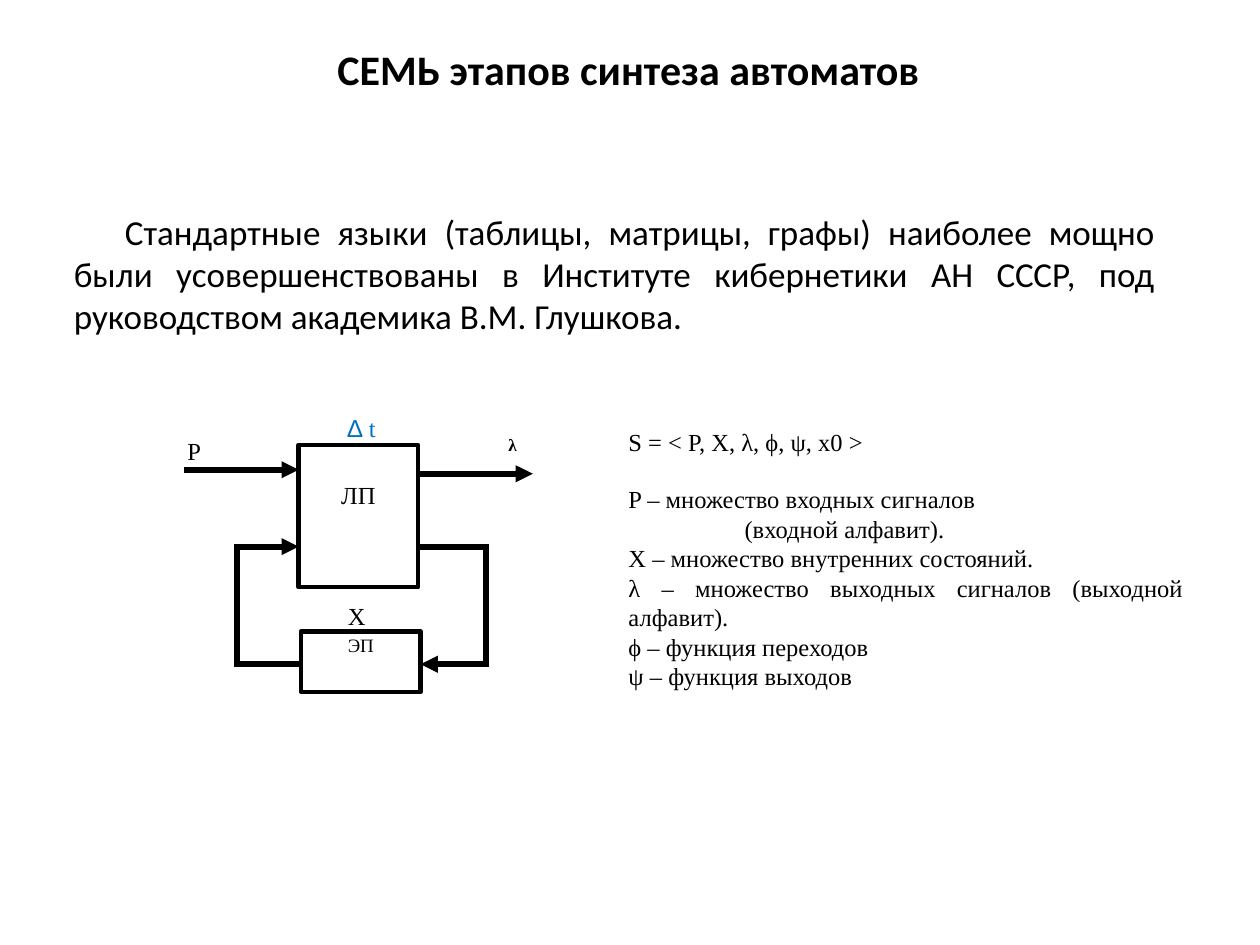
from lxml import etree
from pptx import Presentation
from pptx import util as u
from pptx.dml.color import RGBColor
from pptx.enum import shapes, text
from pptx.oxml.ns import qn

THEME = {
    "black": RGBColor(0, 0, 0),
    "white": RGBColor(255, 255, 255),
    "blue": RGBColor(0x00, 0x70, 0xC0),
    "heading_font": "Calibri",
    "diagram_font": "Times New Roman",
    "symbol_font": "Arial",
    "title": 24,
    "body": 20,
    "diagram": 14,
    "memory": 10.8,
    "output": 9.8,
    "box_line": 2.5,
    "wire": 3.25,
}

TITLE = "СЕМЬ этапов синтеза автоматов"
BODY = (
    "Стандартные языки (таблицы, матрицы, графы) наиболее мощно были "
    "усовершенствованы в Институте кибернетики АН СССР, под руководством "
    "академика В.М. Глушкова."
)
DEFINITIONS = [
    {"content": "S = < P, X, λ, ϕ, ψ, x0 >"},
    {"content": "P – множество входных сигналов", "before": 16},
    {"content": "(входной алфавит).", "indent": 2.34},
    {"content": "X – множество внутренних состояний."},
    {"content": "λ – множество выходных сигналов (выходной алфавит)."},
    {"content": "ϕ – функция переходов"},
    {"content": "ψ – функция выходов"},
]

LOGIC = (6.02, 8.97, 2.41, 2.87)
MEMORY = (6.07, 12.73, 2.41, 1.22)
BLOCKS = [
    ("ЛП", LOGIC, "diagram", 0.7, 1),
    ("ЭП", MEMORY, "memory", 0.13, 0.8),
]
LOGIC_RIGHT = LOGIC[0] + LOGIC[2]
MEMORY_RIGHT = MEMORY[0] + MEMORY[2]
INPUT_Y, OUTPUT_Y, LOOP_TOP, LOOP_BOTTOM = 9.47, 9.55, 11.02, 13.39
LOOP_LEFT, LOOP_RIGHT, CORNER = 4.78, 9.8, 0.06
WIRES = [
    ((3.71, INPUT_Y), (LOGIC[0], INPUT_Y), True),
    ((LOGIC_RIGHT, OUTPUT_Y), (10.74, OUTPUT_Y), True),
    ((LOGIC_RIGHT, LOOP_TOP), (LOOP_RIGHT + CORNER, LOOP_TOP), False),
    ((LOOP_RIGHT, LOOP_TOP), (LOOP_RIGHT, LOOP_BOTTOM + CORNER), False),
    ((LOOP_RIGHT, LOOP_BOTTOM), (MEMORY_RIGHT, LOOP_BOTTOM), True),
    ((MEMORY[0], LOOP_BOTTOM), (LOOP_LEFT - CORNER, LOOP_BOTTOM), False),
    ((LOOP_LEFT, LOOP_BOTTOM), (LOOP_LEFT, LOOP_TOP), False),
    ((LOOP_LEFT - CORNER, LOOP_TOP), (LOGIC[0], LOOP_TOP), True),
]
LABEL_HEIGHT = 0.46
LABELS = [
    ([("P", "diagram_font", "black")], (3.71, 8.79, 0.41), "diagram", False, 1),
    ([("λ", "diagram_font", "black")], (10.08, 8.84, 0.51), "output", True, 0.8),
    ([("X", "diagram_font", "black")], (6.99, 12.12, 0.41), "diagram", False, 1),
    ([("Δ ", "symbol_font", "blue"), ("t", "diagram_font", "blue")],
     (6.88, 8.33, 0.81), "diagram", False, 1),
]


def add_run(paragraph, content, size, font="diagram_font", color="black", bold=False):
    run = paragraph.add_run()
    run.text = content
    run.font.size = u.Pt(THEME[size])
    run.font.name = THEME[font]
    run.font.bold = bold
    run.font.color.rgb = THEME[color]


def prepare_frame(shape, horizontal=0.25, vertical=0.13, anchor=text.MSO_ANCHOR.TOP):
    frame = shape.text_frame
    frame.word_wrap = True
    frame.vertical_anchor = anchor
    frame.margin_left = frame.margin_right = u.Cm(horizontal)
    frame.margin_top = frame.margin_bottom = u.Cm(vertical)
    return frame


def add_text_box(slide, bounds, anchor=text.MSO_ANCHOR.TOP):
    return prepare_frame(slide.shapes.add_textbox(*map(u.Cm, bounds)), anchor=anchor)


def add_rectangle(slide, bounds, outlined):
    shape = slide.shapes.add_shape(shapes.MSO_SHAPE.RECTANGLE, *map(u.Cm, bounds))
    shape.shadow.inherit = False
    shape.fill.solid()
    shape.fill.fore_color.rgb = THEME["white"]
    if outlined:
        shape.line.color.rgb = THEME["black"]
        shape.line.width = u.Pt(THEME["box_line"])
    else:
        shape.line.fill.background()
    return shape


def center_paragraph(frame, spacing=1):
    paragraph = frame.paragraphs[0]
    paragraph.alignment = text.PP_ALIGN.CENTER
    paragraph.line_spacing = spacing
    return paragraph


def indent_first_line(paragraph, distance):
    paragraph._p.get_or_add_pPr().set("indent", str(u.Cm(distance)))


def add_wire(slide, start, end, arrow):
    connector = slide.shapes.add_connector(
        shapes.MSO_CONNECTOR.STRAIGHT, *map(u.Cm, start + end))
    connector.line.color.rgb = THEME["black"]
    connector.line.width = u.Pt(THEME["wire"])
    if arrow:
        line = connector.line._get_or_add_ln()
        etree.SubElement(line, qn("a:tailEnd"), type="triangle")
    etree.SubElement(connector._element.spPr, qn("a:effectLst"))


def add_diagram(slide):
    for content, bounds, size, top, spacing in BLOCKS:
        frame = prepare_frame(add_rectangle(slide, bounds, True))
        frame.margin_top = u.Cm(top)
        add_run(center_paragraph(frame, spacing), content, size)
    for start, end, arrow in WIRES:
        add_wire(slide, start, end, arrow)
    for runs, position, size, bold, spacing in LABELS:
        shape = add_rectangle(slide, (*position, LABEL_HEIGHT), False)
        paragraph = center_paragraph(prepare_frame(shape, 0, 0), spacing)
        for content, font, color in runs:
            add_run(paragraph, content, size, font, color, bold)


def add_definitions(slide):
    frame = add_text_box(slide, (12.42, 8.48, 11.68, 5.59))
    for index, item in enumerate(DEFINITIONS):
        paragraph = frame.add_paragraph() if index else frame.paragraphs[0]
        paragraph.alignment = text.PP_ALIGN.JUSTIFY
        if "before" in item:
            paragraph.space_before = u.Pt(item["before"])
        if "indent" in item:
            indent_first_line(paragraph, item["indent"])
        add_run(paragraph, item["content"], "diagram")


def main():
    presentation = Presentation()
    presentation.slide_width, presentation.slide_height = u.Cm(25.4), u.Cm(19.05)
    slide = presentation.slides.add_slide(presentation.slide_layouts[6])

    title = add_text_box(slide, (1.24, 0.71, 22.86, 1.37), text.MSO_ANCHOR.MIDDLE)
    add_run(center_paragraph(title), TITLE, "title", "heading_font", bold=True)

    body = add_text_box(slide, (1.24, 4.11, 22.3, 12.5)).paragraphs[0]
    body.alignment = text.PP_ALIGN.JUSTIFY
    indent_first_line(body, 1.03)
    add_run(body, BODY, "body", "heading_font")

    add_diagram(slide)
    add_definitions(slide)
    presentation.save("out.pptx")


if __name__ == "__main__":
    main()
